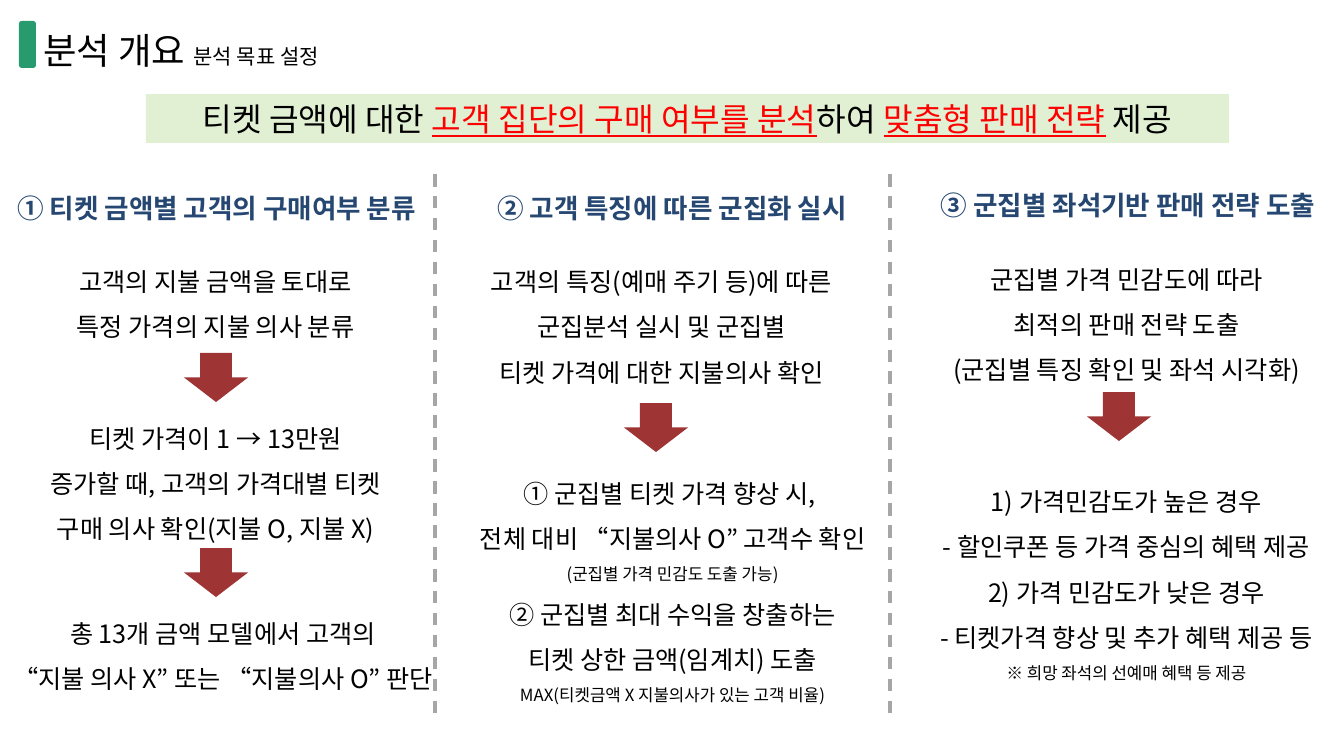
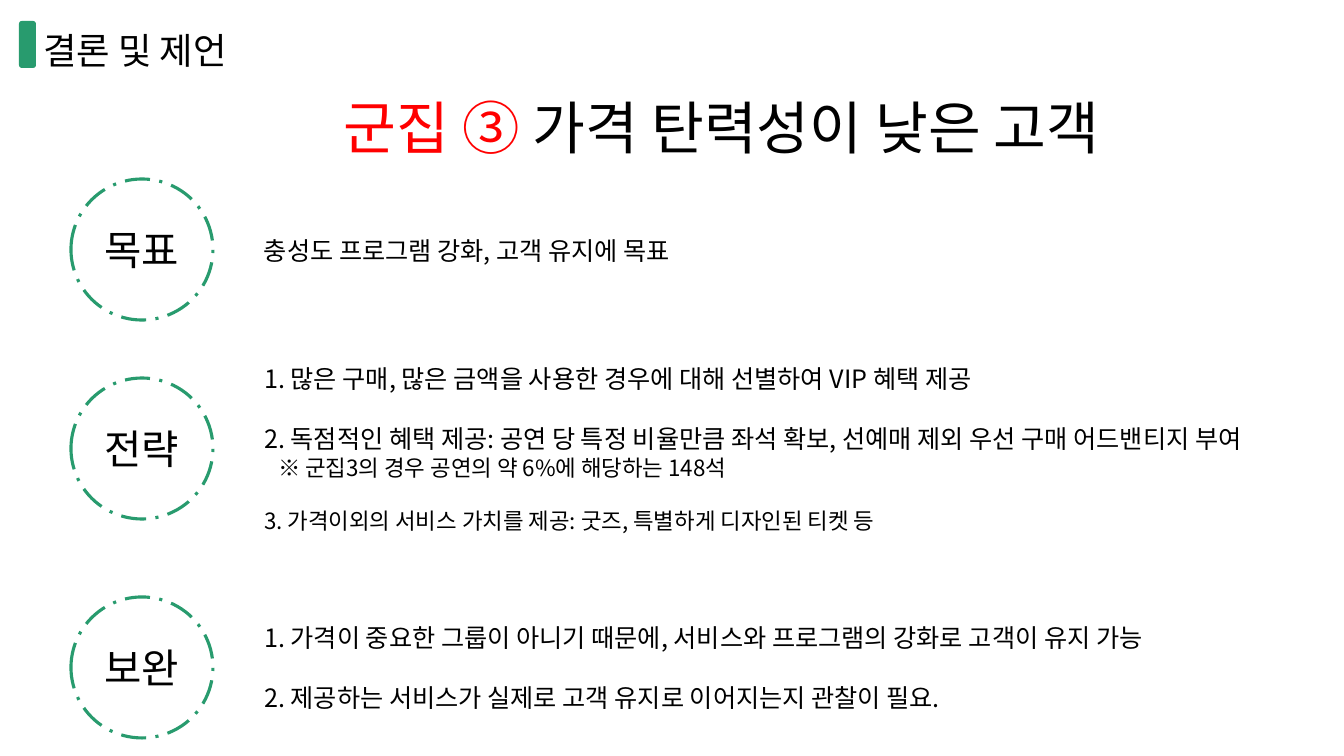
from lxml.etree import SubElement
from pptx import Presentation
from pptx.dml.color import RGBColor
from pptx.enum.dml import MSO_LINE
from pptx.enum.shapes import MSO_CONNECTOR, MSO_SHAPE
from pptx.enum.text import MSO_ANCHOR, MSO_AUTO_SIZE, PP_ALIGN
from pptx.oxml.ns import qn
from pptx.util import Pt

PX = 914400 / 100.8
FONT = "Noto Sans CJK KR"
LEADING = 1.2
BLACK = RGBColor(0x00, 0x00, 0x00)
RED = RGBColor(0xFF, 0x00, 0x00)
NAVY = RGBColor(0x25, 0x47, 0x71)
GREEN = RGBColor(0x28, 0x9B, 0x6E)
PALE_GREEN = RGBColor(0xE1, 0xEF, 0xD3)
BRICK = RGBColor(0x9F, 0x34, 0x34)
GREY = RGBColor(0xA6, 0xA6, 0xA6)


def px(*lengths):
    return [round(length * PX) for length in lengths]


def write(shape, lines, align=PP_ALIGN.LEFT, spacing=1, bold=False, anchor=MSO_ANCHOR.TOP):
    """Each line is a list of (text, size, colour) runs."""
    frame = shape.text_frame
    frame.text = "\n".join("" for _ in lines)
    frame.word_wrap = True
    frame.auto_size = MSO_AUTO_SIZE.NONE
    frame.vertical_anchor = anchor
    for paragraph, runs in zip(frame.paragraphs, lines):
        paragraph.alignment = align
        paragraph.line_spacing = Pt(round(runs[0][1] * LEADING * spacing, 1))
        paragraph.space_before = Pt(0)
        properties = paragraph._p.get_or_add_pPr()
        properties.set("marL", "0")
        properties.set("indent", "0")
        SubElement(properties, qn("a:buNone"))
        for text, size, colour in runs:
            run = paragraph.add_run()
            run.text = text
            run.font.size = Pt(size)
            run.font.bold = bold
            run.font.color.rgb = colour
            run.font.name = FONT
            SubElement(run._r.get_or_add_rPr(), qn("a:ea")).set("typeface", FONT)


deck = Presentation()
deck.slide_width, deck.slide_height = px(1344, 756)
overview = deck.slides.add_slide(deck.slide_layouts.get_by_name("Title and Content"))
conclusion = deck.slides.add_slide(deck.slide_layouts.get_by_name("Two Content"))

# Title and green marker on both slides
for slide, title_runs in (
    (overview, [("분석 개요 ", 26, BLACK), ("분석 목표 설정", 15, BLACK)]),
    (conclusion, [("결론 및 제언", 26, BLACK)]),
):
    title = slide.shapes.title
    title.left, title.top, title.width, title.height = px(33, 23, 661, 54)
    write(title, [title_runs])
    marker = slide.shapes.add_shape(
        MSO_SHAPE.FLOWCHART_ALTERNATE_PROCESS, *px(19, 21, 17, 47))
    marker.shadow.inherit = False
    marker.fill.solid()
    marker.fill.fore_color.rgb = GREEN
    marker.line.fill.background()

# Overview: goal banner
banner = overview.shapes.add_shape(MSO_SHAPE.RECTANGLE, *px(146, 94, 1083, 49))
banner.shadow.inherit = False
banner.fill.solid()
banner.fill.fore_color.rgb = PALE_GREEN
banner.line.fill.background()
write(banner, [[
    ("티켓 금액에 대한 ", 23, BLACK),
    ("고객 집단의 구매 여부를 분석", 23, RED),
    ("하여 ", 23, BLACK),
    ("맞춤형 판매 전략", 23, RED),
    (" 제공", 23, BLACK),
]], PP_ALIGN.CENTER, anchor=MSO_ANCHOR.MIDDLE)
for emphasis in banner.text_frame.paragraphs[0].runs[1::2]:
    emphasis.font.underline = True

# Overview: column headings
for heading, left, top, width in (
    ("① 티켓 금액별 고객의 구매여부 분류", 0, 187, 433),
    ("② 고객 특징에 따른 군집화 실시", 460, 187, 424),
    ("③ 군집별 좌석기반 판매 전략 도출", 917, 184, 422),
):
    write(overview.shapes.add_textbox(*px(left, top, width, 40)),
          [[(heading, 19, NAVY)]], PP_ALIGN.CENTER, bold=True)

# Overview: steps in each column
BODY, NOTE = 18, 12
steps = [
    (0, 246, 431, 100, [
        ("고객의 지불 금액을 토대로", BODY),
        ("특정 가격의 지불 의사 분류", BODY)]),
    (0, 403, 431, 145, [
        ("티켓 가격이 1 → 13만원", BODY),
        ("증가할 때, 고객의 가격대별 티켓", BODY),
        ("구매 의사 확인(지불 O, 지불 X)", BODY)]),
    (0, 598, 446, 100, [
        ("총 13개 금액 모델에서 고객의", BODY),
        ("“지불 의사 X” 또는 “지불의사 O” 판단", BODY)]),
    (446, 246, 431, 146, [
        ("고객의 특징(예매 주기 등)에 따른", BODY),
        ("군집분석 실시 및 군집별", BODY),
        ("티켓 가격에 대한 지불의사 확인", BODY)]),
    (457, 458, 431, 252, [
        ("① 군집별 티켓 가격 향상 시, ", BODY),
        ("전체 대비 “지불의사 O” 고객수 확인", BODY),
        ("(군집별 가격 민감도 도출 가능)", NOTE),
        ("② 군집별 최대 수익을 창출하는", BODY),
        ("티켓 상한 금액(임계치) 도출", BODY),
        ("MAX(티켓금액 X 지불의사가 있는 고객 비율)", NOTE)]),
    (911, 244, 431, 146, [
        ("군집별 가격 민감도에 따라", BODY),
        ("최적의 판매 전략 도출", BODY),
        ("(군집별 특징 확인 및 좌석 시각화)", BODY)]),
    (911, 466, 431, 221, [
        ("1) 가격민감도가 높은 경우", BODY),
        ("- 할인쿠폰 등 가격 중심의 혜택 제공", BODY),
        ("2) 가격 민감도가 낮은 경우", BODY),
        ("- 티켓가격 향상 및 추가 혜택 제공 등", BODY),
        ("※ 희망 좌석의 선예매 혜택 등 제공", NOTE)]),
]
for left, top, width, height, lines in steps:
    if lines is steps[-1][-1]:
        step = overview.placeholders[1]
        step.left, step.top, step.width, step.height = px(left, top, width, height)
    else:
        step = overview.shapes.add_textbox(*px(left, top, width, height))
    write(step, [[(text, size, BLACK)] for text, size in lines], PP_ALIGN.CENTER, 1.5)

# Overview: arrows between steps
for left, top in ((184, 353), (184, 548), (624, 403), (1087, 392)):
    arrow = overview.shapes.add_shape(MSO_SHAPE.DOWN_ARROW, *px(left, top, 64, 49))
    arrow.shadow.inherit = False
    arrow.fill.solid()
    arrow.fill.fore_color.rgb = BRICK
    arrow.line.fill.background()

# Overview: column dividers
for x in (435, 890):
    divider = overview.shapes.add_connector(MSO_CONNECTOR.STRAIGHT, *px(x, 174, x, 716))
    divider.line.color.rgb = GREY
    divider.line.width = Pt(2.25)
    divider.line.dash_style = MSO_LINE.DASH
    SubElement(divider._element.spPr, qn("a:effectLst"))

# Conclusion: customer group headline
headline = conclusion.shapes.add_textbox(*px(280, 87, 884, 80))
write(headline, [[("군집 ③ ", 41, RED), ("가격 탄력성이 낮은 고객", 41, BLACK)]], PP_ALIGN.CENTER)

# Conclusion: dashed circles with labels
for label, top in (("목표", 179), ("전략", 378), ("보완", 597)):
    circle = conclusion.shapes.add_shape(MSO_SHAPE.OVAL, *px(71, top, 142, 141))
    circle.shadow.inherit = False
    circle.fill.background()
    circle.line.color.rgb = GREEN
    circle.line.width = Pt(2.25)
    circle.line.dash_style = MSO_LINE.LONG_DASH_DOT
    write(circle, [[(label, 29, BLACK)]], PP_ALIGN.CENTER, anchor=MSO_ANCHOR.MIDDLE)
    circle.text_frame.word_wrap = False

# Conclusion: goal, strategy and follow-up; each line has text, size, gap above in lines
goal = conclusion.shapes.add_textbox(*px(254, 230, 753, 40))
strategy, follow_up = conclusion.placeholders[1], conclusion.placeholders[2]
strategy.left, strategy.top, strategy.width, strategy.height = px(254, 358, 1076, 183)
follow_up.left, follow_up.top, follow_up.width, follow_up.height = px(254, 617, 1060, 100)
for section, lines in (
    (goal, [("충성도 프로그램 강화, 고객 유지에 목표", 18, 0)]),
    (strategy, [
        ("1. 많은 구매, 많은 금액을 사용한 경우에 대해 선별하여 VIP 혜택 제공", 18, 0),
        ("2. 독점적인 혜택 제공: 공연 당 특정 비율만큼 좌석 확보, 선예매 제외 우선 구매 어드밴티지 부여", 18, 1),
        ("※ 군집3의 경우 공연의 약 6%에 해당하는 148석", 16, 0),
        ("3. 가격이외의 서비스 가치를 제공: 굿즈, 특별하게 디자인된 티켓 등", 16, 1)]),
    (follow_up, [
        ("1. 가격이 중요한 그룹이 아니기 때문에, 서비스와 프로그램의 강화로 고객이 유지 가능", 18, 0),
        ("2. 제공하는 서비스가 실제로 고객 유지로 이어지는지 관찰이 필요.", 18, 1)]),
):
    write(section, [[(text, size, BLACK)] for text, size, _ in lines])
    for paragraph, (text, size, gap) in zip(section.text_frame.paragraphs, lines):
        paragraph.space_before = Pt(round(gap * size * LEADING, 1))
        if text.startswith("※"):
            paragraph._p.get_or_add_pPr().set("marL", str(px(14)[0]))

deck.save("out.pptx")
